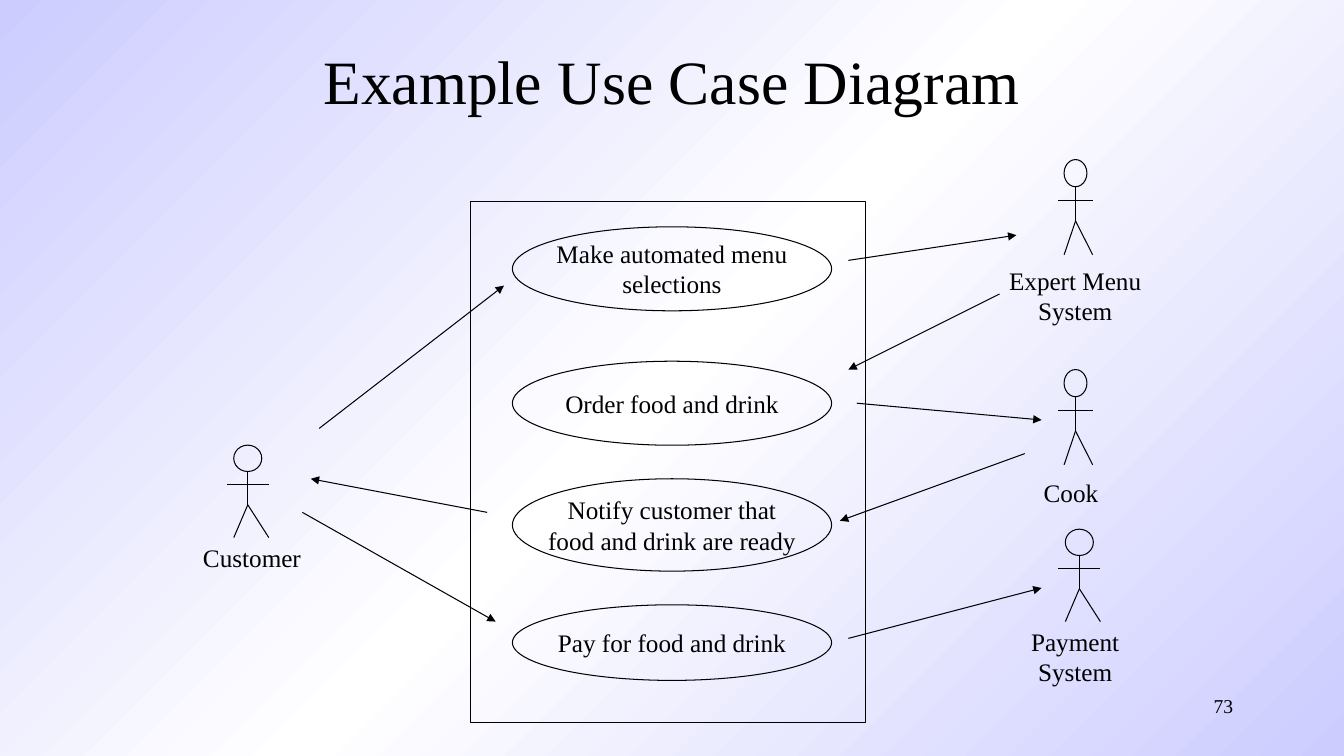
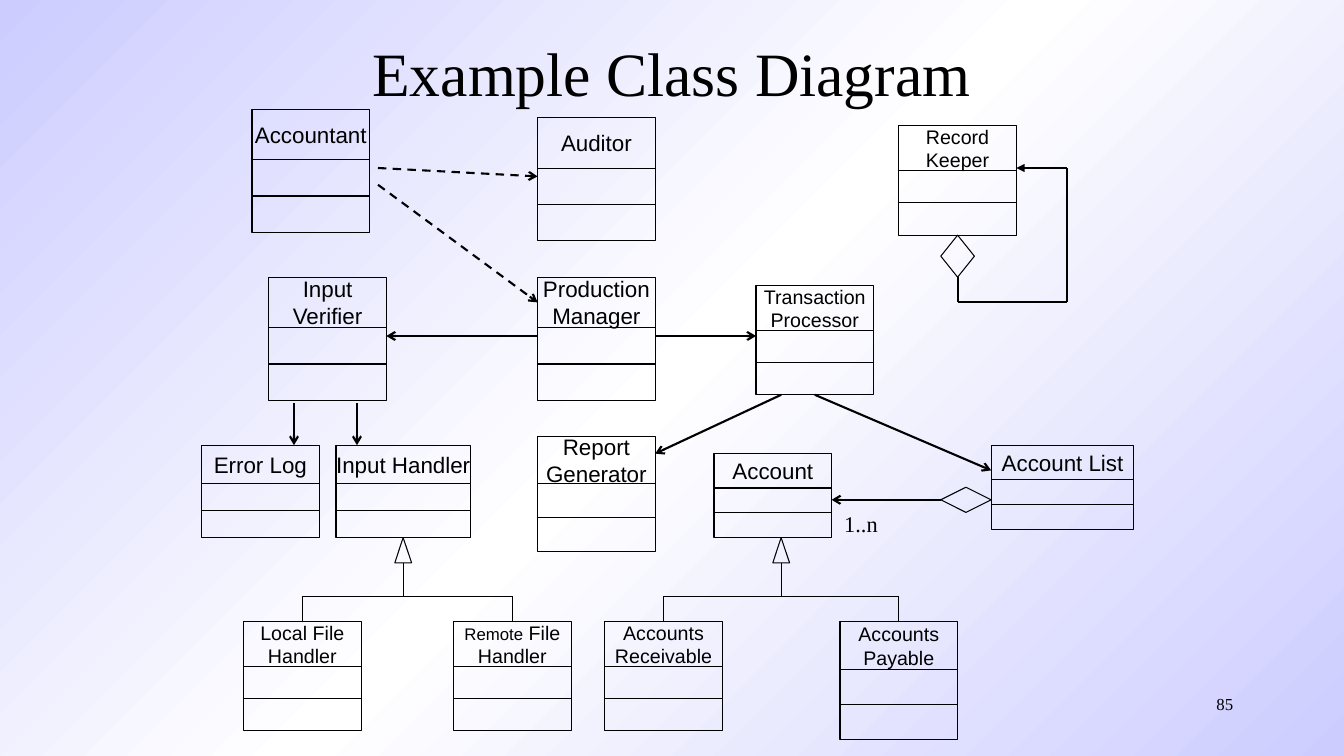
from copy import deepcopy
from dataclasses import dataclass
from itertools import pairwise

from lxml.etree import SubElement
from pptx import Presentation
from pptx.dml.color import RGBColor
from pptx.enum.dml import MSO_LINE_DASH_STYLE as Dash
from pptx.enum.shapes import MSO_CONNECTOR as Link, MSO_SHAPE as Preset
from pptx.enum.text import MSO_ANCHOR as Anchor, MSO_AUTO_SIZE as AutoSize, PP_ALIGN as Align
from pptx.oxml.ns import qn
from pptx.util import Pt

INK = RGBColor(0, 0, 0)
LAVENDER = RGBColor(0xCC, 0xCC, 0xFF)
WHITE = RGBColor(0xFF, 0xFF, 0xFF)
SERIF, SANS = "Times New Roman", "Arial"
THIN, THICK = 0.75, 1.5

TITLE_FRAME = {"word_wrap": True, "auto_size": AutoSize.NONE, "vertical_anchor": Anchor.MIDDLE}
NUMBER_FRAME = {"word_wrap": True, "vertical_anchor": Anchor.TOP}
LABEL_FRAME = {"word_wrap": False, "auto_size": AutoSize.SHAPE_TO_FIT_TEXT,
               "vertical_anchor": Anchor.TOP}
SHAPE_FRAME = {"word_wrap": False, "vertical_anchor": Anchor.MIDDLE}

Point = tuple[float, float]


@dataclass(frozen=True)
class Box:
    """A rectangle in points."""
    left: float
    top: float
    width: float
    height: float

    def lengths(self) -> list[Pt]:
        """Return the four lengths that python-pptx expects."""
        return [Pt(value) for value in (self.left, self.top, self.width, self.height)]

    def at(self, across: float, down: float) -> Point:
        """Return the point at the given fractions of the box."""
        return self.left + across * self.width, self.top + down * self.height


@dataclass(frozen=True)
class Actor:
    """A stick figure with its caption."""
    caption: str
    figure: Box
    caption_box: Box


@dataclass(frozen=True)
class ClassBox:
    """A class with a name and two empty compartments."""
    name: str
    box: Box
    size: float = 16
    small_word: str = ""


@dataclass(frozen=True)
class Arrow:
    """A line whose arrowhead sits at its end."""
    start: Point
    end: Point
    dash: Dash | None = None


@dataclass(frozen=True)
class Inheritance:
    """A parent with two subclasses below it."""
    parent_x: float
    child_xs: tuple[float, float]


USE_CASES = [
    ("Make automated menu\nselections", Box(366, 162, 228, 60)),
    ("Order food and drink", Box(366, 258, 228, 60)),
    ("Notify customer that\nfood and drink are ready", Box(366, 342, 228, 66)),
    ("Pay for food and drink", Box(366, 432, 228, 54)),
]
ACTORS = [
    Actor("Customer", Box(162, 318, 30, 66), Box(130, 384, 100, 29)),
    Actor("Expert Menu\nSystem", Box(756, 114, 24.5, 68), Box(708, 186, 120, 50)),
    Actor("Cook", Box(756, 264, 24.5, 68), Box(730, 337.5, 70, 29)),
    Actor("Payment\nSystem", Box(756, 378, 30, 66), Box(718, 444, 100, 51)),
]
MESSAGES = [
    Arrow((228, 306), (360, 204)),
    Arrow((606, 186), (726, 168)),
    Arrow((714, 210), (606, 264)),
    Arrow((612, 288), (744, 300)),
    Arrow((732, 324), (600, 372)),
    Arrow((348, 366), (222, 342)),
    Arrow((216, 366), (354, 444)),
    Arrow((606, 456), (744, 420)),
]
CLASSES = [
    ClassBox("Accountant", Box(180, 78, 84, 88)),
    ClassBox("Auditor", Box(384, 84, 84, 88)),
    ClassBox("Record\nKeeper", Box(642, 90, 84, 78), 14),
    ClassBox("Input\nVerifier", Box(192, 198, 84, 88)),
    ClassBox("Production\nManager", Box(384, 198, 84, 88)),
    ClassBox("Transaction\nProcessor", Box(540, 204, 84, 78), 14),
    ClassBox("Error Log", Box(144, 318, 84, 66)),
    ClassBox("Input Handler", Box(240, 318, 96, 66)),
    ClassBox("Report\nGenerator", Box(384, 312, 84, 82)),
    ClassBox("Account", Box(510, 324, 84, 60)),
    ClassBox("Account List", Box(708, 318, 102, 60)),
    ClassBox("Local File\nHandler", Box(174, 444, 84, 78), 14),
    ClassBox(" File\nHandler", Box(324, 444, 84, 78), 14, "Remote"),
    ClassBox("Accounts\nReceivable", Box(432, 444, 84, 78), 14),
    ClassBox("Accounts\nPayable", Box(600, 444, 84, 84), 14),
]
ASSOCIATIONS = [
    Arrow((270, 120), (384, 126), Dash.DASH),
    Arrow((270, 132), (384, 216), Dash.DASH),
    Arrow((384, 240), (276, 240)),
    Arrow((468, 240), (540, 240)),
    Arrow((210, 288), (210, 318)),
    Arrow((255, 288), (255, 318)),
    Arrow((558, 282), (468, 324)),
    Arrow((582, 282), (708, 336)),
    Arrow((672, 357), (594, 357)),
]
INHERITANCES = [Inheritance(288, (216, 366)), Inheritance(558, (474, 642))]
AGGREGATIONS = [Box(672, 348, 36, 18), Box(672, 168, 24, 30)]
KEEPER_LOOP = [(684, 198), (684, 216), (762, 216), (762, 120), (726, 120)]


def style_run(run, size: float, font: str) -> None:
    """Format one run of text."""
    for attribute, value in {"name": font, "size": Pt(size)}.items():
        setattr(run.font, attribute, value)
    run.font.color.rgb = INK


def write(frame, text: str, size: float, font: str = SERIF, align: Align = Align.CENTER,
          frame_format: dict = SHAPE_FRAME) -> None:
    """Fill a text frame with one paragraph per line of text."""
    for attribute, value in frame_format.items():
        setattr(frame, attribute, value)
    frame.text = text
    for paragraph in frame.paragraphs:
        paragraph.alignment = align
        for run in paragraph.runs:
            style_run(run, size, font)


def add_label(slide, text: str, box: Box, size: float, align: Align = Align.CENTER,
              frame_format: dict = LABEL_FRAME) -> None:
    """Add free-standing text."""
    write(slide.shapes.add_textbox(*box.lengths()).text_frame, text, size,
          align=align, frame_format=frame_format)


def add_outline(shapes, preset: Preset, box: Box):
    """Add an unfilled shape with a thin outline."""
    outline = shapes.add_shape(preset, *box.lengths())
    outline.shadow.inherit = False
    outline.fill.background()
    outline.line.color.rgb = INK
    outline.line.width = Pt(THIN)
    return outline


def add_line(shapes, start: Point, end: Point, width: float = THIN,
             head: str = "", dash: Dash | None = None) -> None:
    """Add a straight line with an optional arrowhead at its end."""
    line = shapes.add_connector(Link.STRAIGHT, *[Pt(value) for value in (*start, *end)])
    line.line.color.rgb = INK
    line.line.width = Pt(width)
    if dash:
        line.line.dash_style = dash
    properties = line.element.spPr
    if head:
        SubElement(properties.find(qn("a:ln")), qn("a:tailEnd"), type=head)
    SubElement(properties, qn("a:effectLst"))


def add_actor(slide, actor: Actor) -> None:
    """Draw a grouped stick figure and its caption."""
    parts = slide.shapes.add_group_shape().shapes
    figure = actor.figure
    neck, hip = figure.at(0.5, 0.285), figure.at(0.5, 0.645)
    head = Box(*figure.at(1 / 6, 0), figure.width * 2 / 3, figure.height * 0.285)
    add_outline(parts, Preset.OVAL, head)
    limbs = [(neck, hip), (hip, figure.at(1 / 6, 1)), (hip, figure.at(1, 1)),
             (figure.at(0, 0.425), figure.at(1, 0.425))]
    for start, end in limbs:
        add_line(parts, start, end)
    add_label(slide, actor.caption, actor.caption_box, 18)


def add_class(slide, item: ClassBox) -> None:
    """Draw a class as three stacked, grouped compartments."""
    parts = slide.shapes.add_group_shape().shapes
    edges = (0, 0.41, 0.705, 1)
    compartments = [
        add_outline(parts, Preset.RECTANGLE,
                    Box(*item.box.at(0, top), item.box.width, item.box.height * (bottom - top)))
        for top, bottom in pairwise(edges)
    ]
    name_frame = compartments[0].text_frame
    write(name_frame, item.small_word + item.name, item.size, SANS)
    if item.small_word:
        first_line = name_frame.paragraphs[0]
        rest = first_line.add_run()
        word = first_line.runs[0]
        rest.text = word.text.removeprefix(item.small_word)
        word.text = item.small_word
        style_run(word, 12, SANS)
        style_run(rest, item.size, SANS)


def add_inheritance(slide, tree: Inheritance) -> None:
    """Draw the triangle, stem, bar and drops of an inheritance."""
    base, bar, child_top = 402, 426, 444
    add_outline(slide.shapes, Preset.ISOSCELES_TRIANGLE, Box(tree.parent_x - 6, 384, 12, 18))
    add_line(slide.shapes, (tree.parent_x, base), (tree.parent_x, bar))
    left, right = tree.child_xs
    add_line(slide.shapes, (left, bar), (right, bar))
    for child_x in tree.child_xs:
        add_line(slide.shapes, (child_x, bar), (child_x, child_top))


def set_background(master) -> None:
    """Give every slide the diagonal lavender and white gradient."""
    fill = master.background.fill
    fill.gradient()
    fill.gradient_angle = 315
    for stop, position, colour in zip(fill.gradient_stops, (0, 0.5), (LAVENDER, WHITE)):
        stop.position = position
        stop.color.rgb = colour
    stops = master.element.find(".//" + qn("a:gsLst"))
    last_stop = deepcopy(stops[0])
    last_stop.set("pos", "100000")
    stops.append(last_stop)


def add_slide(deck, title: str, title_top: float, number: str, number_size: float):
    """Add a slide with its title and slide number."""
    slide = deck.slides.add_slide(deck.slide_layouts[5])
    heading = slide.shapes.title
    places = zip(("left", "top", "width", "height"), Box(174, title_top, 612, 90).lengths())
    for attribute, value in places:
        setattr(heading, attribute, value)
    write(heading.text_frame, title, 44, frame_format=TITLE_FRAME)
    add_label(slide, number, Box(688, 492, 200, 36), number_size, Align.RIGHT, NUMBER_FRAME)
    return slide


def draw_use_cases(deck) -> None:
    """Build the use case diagram."""
    slide = add_slide(deck, "Example Use Case Diagram", 12, "73", 14)
    add_outline(slide.shapes, Preset.RECTANGLE, Box(336, 144, 282, 372))
    for name, box in USE_CASES:
        write(add_outline(slide.shapes, Preset.OVAL, box).text_frame, name, 18)
    for actor in ACTORS:
        add_actor(slide, actor)
    for message in MESSAGES:
        add_line(slide.shapes, message.start, message.end, head="triangle")


def draw_classes(deck) -> None:
    """Build the class diagram."""
    slide = add_slide(deck, "Example Class Diagram", 6, "85", 12)
    for item in CLASSES:
        add_class(slide, item)
    for link in ASSOCIATIONS:
        add_line(slide.shapes, link.start, link.end, THICK, "arrow", link.dash)
    for tree in INHERITANCES:
        add_inheritance(slide, tree)
    for diamond in AGGREGATIONS:
        add_outline(slide.shapes, Preset.DIAMOND, diamond)
    for start, end in pairwise(KEEPER_LOOP):
        add_line(slide.shapes, start, end, THICK, "triangle" if end == KEEPER_LOOP[-1] else "")
    add_label(slide, "1..n", Box(590, 361, 50, 27), 16)


def main() -> None:
    """Build and save the presentation."""
    deck = Presentation()
    deck.slide_width, deck.slide_height = Pt(960), Pt(540)
    set_background(deck.slide_master)
    draw_use_cases(deck)
    draw_classes(deck)
    deck.save("out.pptx")


if __name__ == "__main__":
    main()
